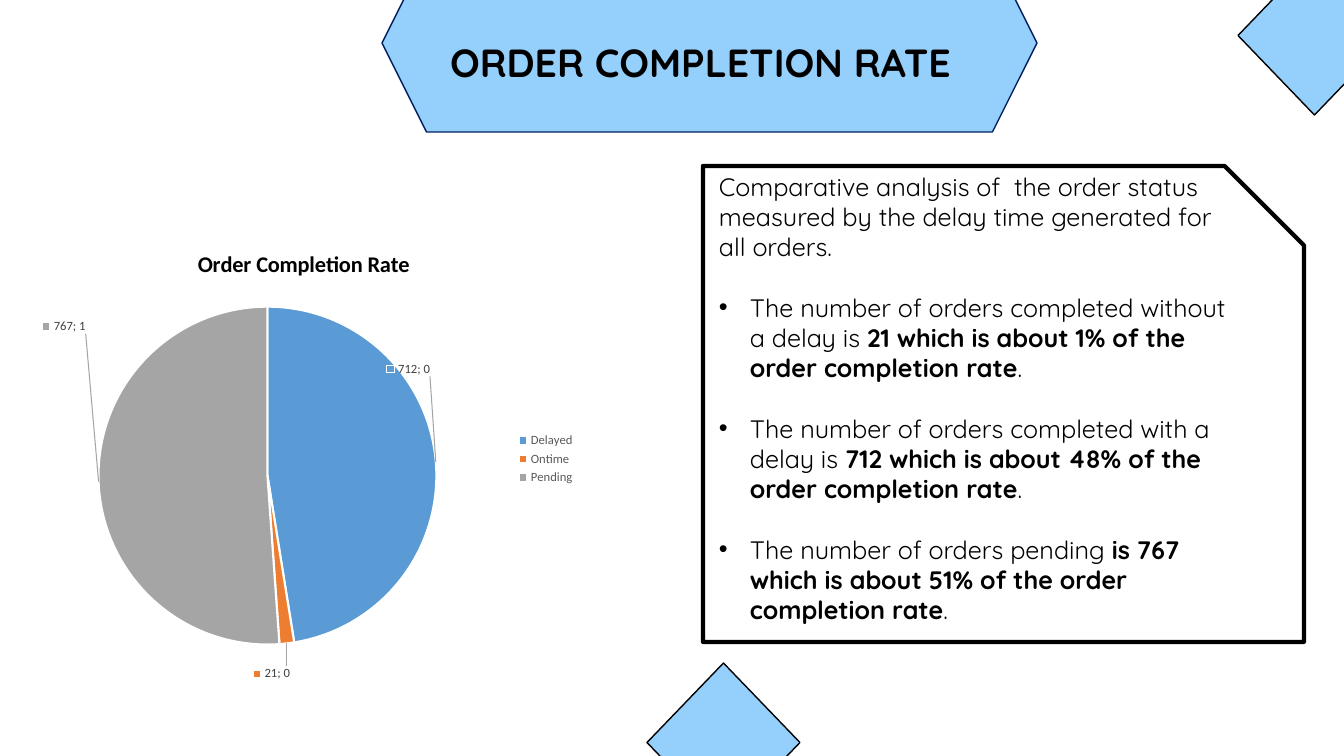
from copy import deepcopy

from pptx import Presentation
from pptx.chart.data import CategoryChartData
from pptx.dml.color import RGBColor
from pptx.enum.chart import XL_CHART_TYPE, XL_LABEL_POSITION, XL_LEGEND_POSITION
from pptx.enum.shapes import MSO_SHAPE
from pptx.enum.text import MSO_ANCHOR, PP_ALIGN
from pptx.oxml import parse_xml
from pptx.oxml.ns import nsdecls, qn
from pptx.util import Pt

DIAMOND, HEXAGON, SNIP = MSO_SHAPE.DIAMOND, MSO_SHAPE.HEXAGON, MSO_SHAPE.SNIP_1_RECTANGLE
PIE, CENTER, RIGHT = XL_CHART_TYPE.PIE, XL_LABEL_POSITION.CENTER, XL_LEGEND_POSITION.RIGHT
PX = 914400 / 100.8
COLORS = {
    "sky": "95CFFB", "navy": "002060", "black": "000000", "white": "FFFFFF",
    "legend": "595959", "label": "404040",
    "Delayed": "5B9BD5", "Ontime": "ED7D31", "Pending": "A5A5A5",
}
FONT = "Quicksand"


def px(*lengths):
    return [round(n * PX) for n in lengths]


def chart_xml(tag, body):
    return parse_xml(f"<c:{tag} {nsdecls('c', 'a')}>{body}</c:{tag}>")


rgb = {name: RGBColor.from_string(value) for name, value in COLORS.items()}
prs = Presentation()
prs.slide_width, prs.slide_height = px(1344, 756)
s = prs.slides.add_slide(prs.slide_layouts[5])

SHAPES = [
    (DIAMOND, (647, 663, 153, 159), "sky", "black", 1),
    (DIAMOND, (1238, -44, 153, 159), "sky", "black", 1),
    (SNIP, (703, 166, 601, 476), None, "black", 3),
    (HEXAGON, (382, -46, 655, 178), "sky", "navy", 1),
]
for kind, box, fill, line, width in SHAPES:
    sp = s.shapes.add_shape(kind, *px(*box))
    sp.shadow.inherit = False
    if fill:
        sp.fill.solid()
        sp.fill.fore_color.rgb = rgb[fill]
    else:
        sp.fill.background()
    sp.line.color.rgb = rgb[line]
    sp.line.width = Pt(width)

title = s.shapes.title
sp.element.addnext(title.element)
title.left, title.top, title.width, title.height = px(410, 33, 581, 57)
tf = title.text_frame
tf.text = "ORDER COMPLETION RATE"
tf.vertical_anchor = MSO_ANCHOR.MIDDLE
p = tf.paragraphs[0]
p.alignment = PP_ALIGN.CENTER
r = p.runs[0]
r.font.name, r.font.size, r.font.bold = FONT, Pt(28), True
r.font.color.rgb = rgb["black"]

INTRO = "Comparative analysis of  the order status measured by the delay time generated for all orders."
FINDINGS = [
    ("The number of orders completed without a delay is ",
     "21 which is about 1% of the order completion rate"),
    ("The number of orders completed with a delay is ",
     "712 which is about 48% of the order completion rate"),
    ("The number of orders pending ",
     "is 767 which is about 51% of the order completion rate"),
]
tf = s.shapes.add_textbox(*px(709, 166, 542, 499)).text_frame
tf.word_wrap = True
tf.text = INTRO
for lead, result in FINDINGS:
    p = tf.add_paragraph()
    p.space_before = Pt(21.6)
    pPr = p._p.get_or_add_pPr()
    indent = px(31)[0]
    pPr.set("marL", str(indent))
    pPr.set("indent", str(-indent))
    pPr.append(parse_xml(f'<a:buFont {nsdecls("a")} typeface="Arial"/>'))
    pPr.append(parse_xml(f'<a:buChar {nsdecls("a")} char="•"/>'))
    for text, bold in ((lead, False), (result, True), (".", False)):
        r = p.add_run()
        r.text = text
        r.font.bold = bold
for p in tf.paragraphs:
    for r in p.runs:
        r.font.name, r.font.size = FONT, Pt(18)
        r.font.color.rgb = rgb["black"]

CATEGORIES = ["Delayed", "Ontime", "Pending"]
CHART_W, CHART_H = 567, 476
LABEL_MOVES = [(55, -100), (-3, 113), (-120, -154)]
data = CategoryChartData()
data.categories = CATEGORIES
data.add_series("Series 1", (712, 21, 767), "0")
data.add_series("Series 2", (0.4747, 0.014, 0.5113), "0.00%")
chart = s.shapes.add_chart(PIE, *px(18, 221, CHART_W, CHART_H), data).chart
chart.replace_data(data)
chart.font.name, chart.font.size = "Calibri", Pt(10)
chart.font.color.rgb = rgb["black"]

chart.has_title = True
tf = chart.chart_title.text_frame
tf.text = "Order Completion Rate"
font = tf.paragraphs[0].runs[0].font
font.name, font.size, font.bold = "Calibri", Pt(16), True
font.color.rgb = rgb["black"]
chart.chart_title.include_in_layout = False

chart.has_legend = True
chart.legend.position = RIGHT
chart.legend.include_in_layout = False
chart.legend.font.name, chart.legend.font.size = "Calibri", Pt(9)
chart.legend.font.color.rgb = rgb["legend"]

chart.plots[0].vary_by_categories = True
for series, number_format in zip(chart.plots[0].series, ("0", "0.00%")):
    for i, category in enumerate(CATEGORIES):
        point = series.points[i].format
        point.fill.solid()
        point.fill.fore_color.rgb = rgb[category]
        point.line.color.rgb = rgb["white"]
        point.line.width = Pt(1.5)
    labels = series.data_labels
    labels.number_format = number_format
    labels.number_format_is_linked = False
    labels.font.name, labels.font.size = "Calibri", Pt(9)
    labels.font.color.rgb = rgb["label"]
    labels.position = CENTER
    labels.show_legend_key = labels.show_value = labels.show_percentage = True
    dLbls = labels._element
    for old in dLbls.findall(qn("c:showLeaderLines")):
        dLbls.remove(old)
    separator = chart_xml("separator", "; ")
    dLbls.append(separator)
    shared = list(dLbls)
    for i, (dx, dy) in enumerate(LABEL_MOVES):
        dLbl = chart_xml("dLbl", f'<c:idx val="{i}"/><c:layout><c:manualLayout>'
                         f'<c:x val="{dx / CHART_W:.2f}"/><c:y val="{dy / CHART_H:.2f}"/>'
                         '</c:manualLayout></c:layout>')
        for child in shared:
            dLbl.append(deepcopy(child))
        dLbls.insert(i, dLbl)
    dLbls.append(parse_xml(f'<c:showLeaderLines {nsdecls("c")} val="1"/>'))
    dLbls.append(chart_xml("leaderLines", '<c:spPr><a:ln w="9525"><a:solidFill>'
                           f'<a:srgbClr val="{COLORS["Pending"]}"/></a:solidFill></a:ln></c:spPr>'))

PLOT_LAYOUT = {"layoutTarget": "inner", "xMode": "edge", "yMode": "edge",
               "x": 0.14, "y": 0.18, "w": 0.6, "h": 0.71}
TITLE_LAYOUT = {"xMode": "edge", "yMode": "edge", "x": 0.31, "y": 0.05}
plot_area = chart._chartSpace.chart.plotArea
for parent, layout in ((plot_area, PLOT_LAYOUT), (chart.chart_title._element, TITLE_LAYOUT)):
    for old in parent.findall(qn("c:layout")):
        parent.remove(old)
    body = "".join(f'<c:{key} val="{value}"/>' for key, value in layout.items())
    position = 0 if parent is plot_area else 1
    parent.insert(position, chart_xml("layout", f"<c:manualLayout>{body}</c:manualLayout>"))

prs.save("out.pptx")
